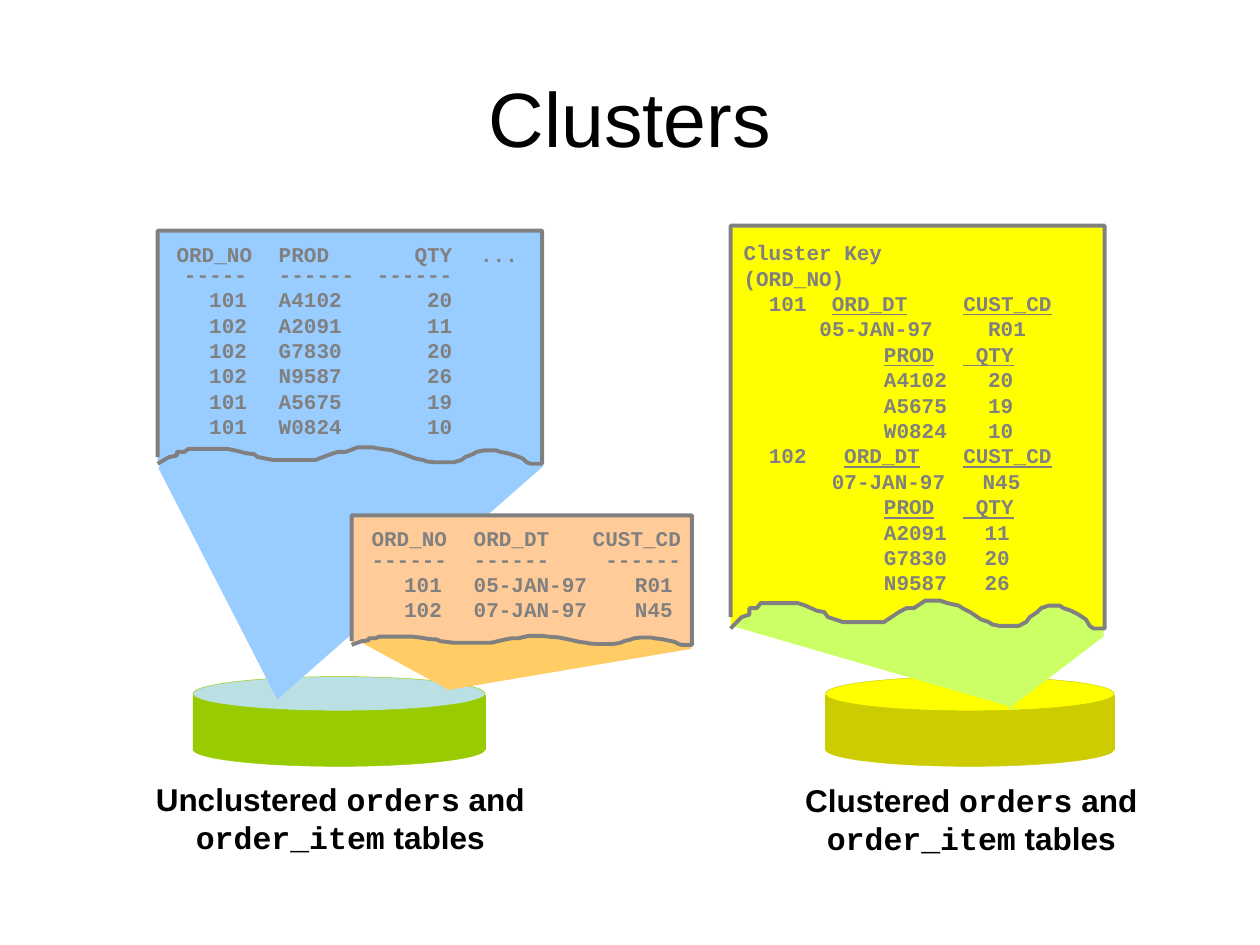
from dataclasses import dataclass
from typing import NamedTuple

import pptx
import pptx.dml.color
import pptx.enum.shapes
import pptx.enum.text
import pptx.oxml.ns
import pptx.util
from lxml import etree
from pptx.util import Cm

SHAPES = pptx.enum.shapes.MSO_SHAPE
ALIGN = pptx.enum.text.PP_ALIGN
ANCHOR = pptx.enum.text.MSO_ANCHOR
GREY = "808080"
SANS, MONO = "Arial", "Courier New"

# Torn lower edge, right to left: percent of sheet width, percent of tear depth
TEAR = [
    (100, 0), (97, 0), (96, 9), (95, 32), (93, 50), (91, 64), (89, 73), (88, 82),
    (85, 82), (83, 73), (82, 59), (80, 41), (79, 23), (77, 9), (72, 9), (70, 14),
    (69, 23), (67, 32), (65, 50), (64, 59), (62, 73), (61, 82), (58, 91), (56, 100),
    (52, 100), (51, 91), (49, 73), (47, 73), (45, 59), (44, 50), (42, 32), (41, 23),
    (30, 23), (28, 32), (26, 41), (25, 59), (23, 64), (20, 82), (18, 91), (8, 91),
    (7, 73), (5, 73), (5, 50), (3, 41), (1, 14), (0, 0),
]


class Run(NamedTuple):
    """A piece of text with its own font or underline."""
    text: str
    font: str | None = None
    underline: bool = False


class Line(NamedTuple):
    """A paragraph and its tab stops, each an alignment and a place in cm."""
    runs: list[Run]
    stops: tuple[tuple[str, float], ...] = ()


@dataclass
class Disk:
    """A storage disk: place and width in cm, colours of its side and top."""
    left: float
    width: float
    side: str
    top: str


@dataclass
class Sheet:
    """A torn listing in cm: outline, depth of the tear, text box and lines."""
    left: float
    top: float
    width: float
    bottom: float
    depth: float
    fill: str
    text_box: tuple[float, float, float, float]
    lines: list[Line]


def colour(hex_value: str) -> pptx.dml.color.RGBColor:
    """Turn a hex string into a colour."""
    return pptx.dml.color.RGBColor.from_string(hex_value)


def paint(shape, fill: str, line: str | None = None, weight: float = 0.25) -> None:
    """Give a shape a plain fill and outline without a shadow."""
    shape.shadow.inherit = False
    shape.fill.solid()
    shape.fill.fore_color.rgb = colour(fill)
    if line is None:
        shape.line.fill.background()
    else:
        shape.line.color.rgb = colour(line)
        shape.line.width = pptx.util.Pt(weight)


def set_stops(paragraph, stops: tuple[tuple[str, float], ...]) -> None:
    """Add tab stops to a paragraph."""
    if not stops:
        return
    qn = pptx.oxml.ns.qn
    tabs = etree.SubElement(paragraph._p.get_or_add_pPr(), qn("a:tabLst"))
    for side, place in stops:
        etree.SubElement(tabs, qn("a:tab"), pos=str(int(Cm(place))), algn=side)


def add_text(slide, box: tuple[float, float, float, float], lines: list[Line], *,
             size: float, font: str = SANS, ink: str = "000000", bold: bool = False,
             align=ALIGN.LEFT, anchor=ANCHOR.TOP, spacing: float = 1.0,
             before: float = 0) -> None:
    """Write paragraphs into a text box placed in cm."""
    frame = slide.shapes.add_textbox(*map(Cm, box)).text_frame
    frame.word_wrap = True
    frame.vertical_anchor = anchor
    frame.margin_left = frame.margin_right = Cm(0.23)
    frame.margin_top = frame.margin_bottom = Cm(0.13)
    for index, line in enumerate(lines):
        paragraph = frame.add_paragraph() if index else frame.paragraphs[0]
        paragraph.alignment = align
        paragraph.line_spacing = spacing
        paragraph.space_before = pptx.util.Pt(before)
        set_stops(paragraph, line.stops)
        for piece in line.runs:
            for part, words in enumerate(piece.text.split("\n")):
                if part:
                    paragraph.add_line_break()
                run = paragraph.add_run()
                run.text = words
                run.font.name = piece.font or font
                run.font.size = pptx.util.Pt(size)
                run.font.bold = bold
                run.font.underline = piece.underline
                run.font.color.rgb = colour(ink)


def add_outline(slide, points: list[tuple[float, float]], closed: bool):
    """Build a freeform through points in cm."""
    start, *rest = [(Cm(x), Cm(y)) for x, y in points]
    builder = slide.shapes.build_freeform(*start)
    builder.add_line_segments(rest, close=closed)
    return builder.convert_to_shape()


def add_disk(slide, disk: Disk) -> None:
    """Draw a disk as a body with a top and a bottom ellipse."""
    group = slide.shapes.add_group_shape()
    for kind, top, height, fill in [(SHAPES.RECTANGLE, 14.02, 1.09, disk.side),
                                    (SHAPES.OVAL, 13.64, 0.69, disk.top),
                                    (SHAPES.OVAL, 14.76, 0.69, disk.side)]:
        part = group.shapes.add_shape(
            kind, Cm(disk.left), Cm(top), Cm(disk.width), Cm(height))
        paint(part, fill, disk.side)


def add_sheet(slide, sheet: Sheet) -> None:
    """Draw a torn sheet and its listing."""
    right = sheet.left + sheet.width
    edge = [(sheet.left + sheet.width * x / 100, sheet.bottom - sheet.depth * y / 100)
            for x, y in TEAR]
    corners = [(sheet.left, sheet.bottom - 0.41 * sheet.depth),
               (sheet.left, sheet.top), (right, sheet.top)]
    paint(add_outline(slide, corners + edge, False), sheet.fill, GREY, 2.25)
    add_text(slide, sheet.text_box, sheet.lines, size=12, font=MONO, ink=GREY,
             bold=True, spacing=0.8, before=3)


def table_lines(header: str, rows: list[str], header_stops, row_stops) -> list[Line]:
    """Make a header paragraph and one paragraph for each row."""
    return [Line([Run(header)], header_stops)] + [Line([Run(r)], row_stops) for r in rows]


def key_lines(key: str, date: str, customer: str, items: list[str], order_place: float,
              customer_place: float, quantity_place: float) -> list[Line]:
    """Make the lines stored under one cluster key."""
    return [
        Line([Run(f"\t{key}\t"), Run("ORD_DT", None, True), Run("\t"),
              Run("CUST_CD", None, True)], (("l", 0.51), ("l", order_place), ("l", 4.43))),
        Line([Run(f"\t{date}\t{customer}")],
             (("l", order_place - 0.25), ("l", customer_place))),
        Line([Run("\t"), Run("PROD", None, True), Run("\t"), Run(" QTY", None, True)],
             (("l", 2.83), ("l", 4.43))),
        *[Line([Run(f"\t{item}")], (("l", 2.83), ("l", quantity_place))) for item in items],
    ]


ITEM_STOPS = (("r", 1.42), ("l", 2.06), ("r", 5.56), ("l", 6.12))
DISKS = [Disk(16.64, 5.82, "CCCC00", "FFFF00"), Disk(3.89, 5.89, "99CC00", "BBE0E3")]
BEAMS = {
    "CCFF66": [(20.55, 14.3), (14.76, 12.62), (14.76, 4.57), (22.25, 4.57),
               (22.25, 12.83), (20.32, 14.3)],
    "99CCFF": [(5.59, 14.1), (3.2, 9.45), (3.43, 8.66), (10.64, 8.71), (10.95, 9.4)],
    "FFCC66": [(9.07, 13.92), (7.19, 12.9), (7.19, 10.41), (13.94, 10.41),
               (13.94, 13.08), (8.97, 13.92)],
}
SHEETS = [
    Sheet(14.73, 4.55, 7.54, 12.67, 0.56, "FFFF00", (14.76, 4.8, 7.57, 7.24), [
        Line([Run("Cluster Key")]), Line([Run("(ORD_NO)")]),
        *key_lines("101", "05-JAN-97", "R01", ["A4102\t20", "A5675\t19", "W0824\t10"],
                   1.78, 4.93, 4.93),
        *key_lines("102", "07-JAN-97", "N45", ["A2091\t11", "G7830\t20", "N9587\t26"],
                   2.03, 4.82, 4.86)]),
    Sheet(7.09, 10.39, 6.86, 13.0, 0.18, "FFCC99", (7.26, 10.57, 6.86, 2.57), table_lines(
        "\tORD_NO\tORD_DT\tCUST_CD\n\t------\t------\t ------",
        ["\t101\t05-JAN-97\tR01", "\t102\t07-JAN-97\tN45"],
        (("r", 1.42), ("l", 2.06), ("l", 4.46)), (("r", 1.42), ("l", 2.06), ("l", 5.31)))),
    Sheet(3.18, 4.65, 7.75, 9.35, 0.33, "99CCFF", (3.33, 4.83, 7.62, 4.09), table_lines(
        "\tORD_NO\tPROD\tQTY\t...\n\t-----\t------\t------",
        ["\t101\tA4102\t20", "\t102\tA2091\t11", "\t102\tG7830\t20",
         "\t102\tN9587\t26", "\t101\tA5675\t19", "\t101\tW0824\t10"],
        ITEM_STOPS, ITEM_STOPS)),
]
CAPTIONS = {"Clustered": (15.77, 15.62, 7.62, 1.75), "Unclustered": (2.39, 15.6, 8.94, 1.75)}

presentation = pptx.Presentation()
presentation.slide_width, presentation.slide_height = Cm(25.4), Cm(19.05)
clusters = presentation.slides.add_slide(presentation.slide_layouts[6])

for disk in DISKS:
    add_disk(clusters, disk)
add_text(clusters, (1.27, 0.76, 22.86, 3.18), [Line([Run("Clusters")])], size=44,
         align=ALIGN.CENTER, anchor=ANCHOR.MIDDLE)
for beam_fill, beam in BEAMS.items():
    paint(add_outline(clusters, beam, True), beam_fill)
for sheet in SHEETS:
    add_sheet(clusters, sheet)
for kind, caption_box in CAPTIONS.items():
    caption = Line([Run(f"{kind} "), Run("orders", MONO), Run(" and "),
                    Run("order_item", MONO), Run(" tables")])
    add_text(clusters, caption_box, [caption], size=18, bold=True, align=ALIGN.CENTER)

presentation.save("out.pptx")
